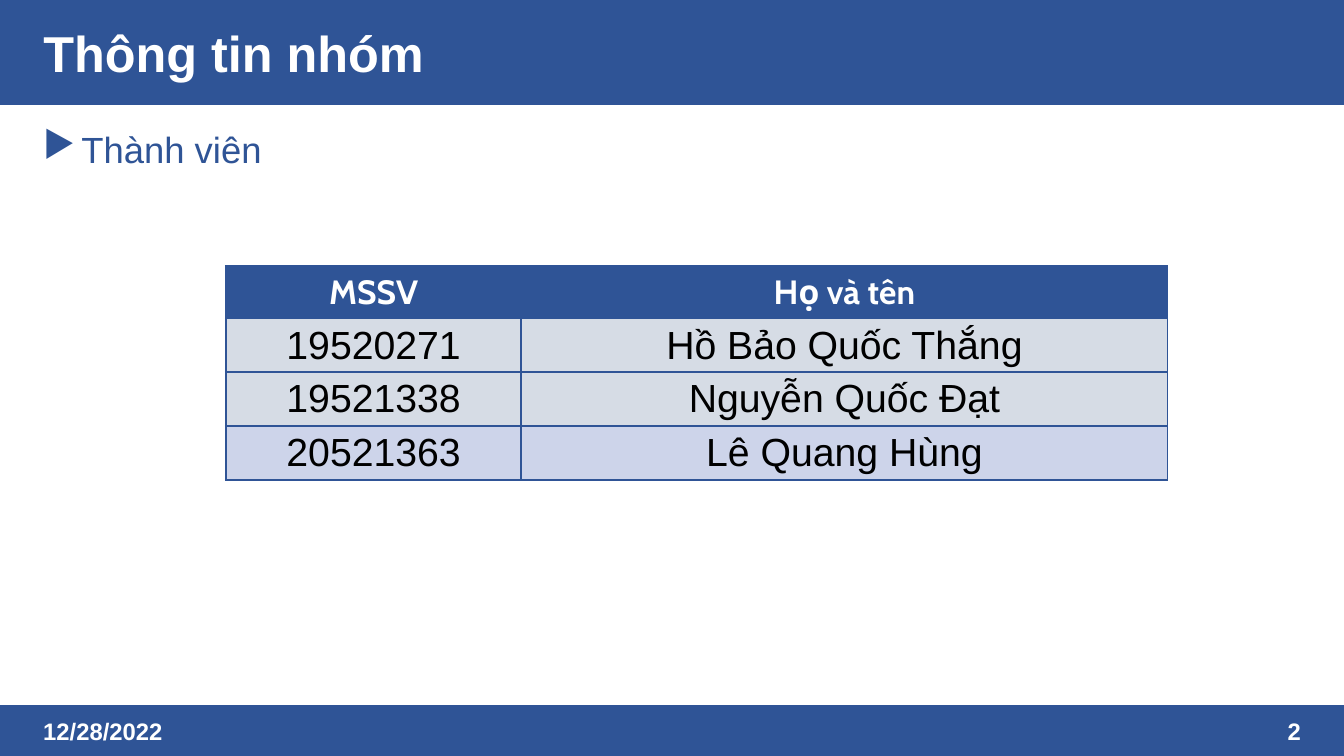
from dataclasses import dataclass
from typing import Any

from lxml import etree
from pptx import Presentation
from pptx.dml.color import RGBColor
from pptx.enum.shapes import MSO_SHAPE
from pptx.enum.text import MSO_ANCHOR, MSO_AUTO_SIZE, PP_ALIGN
from pptx.oxml.ns import qn
from pptx.util import Inches, Pt

RECTANGLE = MSO_SHAPE.RECTANGLE
TOP, MIDDLE = MSO_ANCHOR.TOP, MSO_ANCHOR.MIDDLE
LEFT, CENTER, RIGHT = PP_ALIGN.LEFT, PP_ALIGN.CENTER, PP_ALIGN.RIGHT
NO_AUTOFIT = MSO_AUTO_SIZE.NONE
TITLE_ONLY = 5


@dataclass(frozen=True)
class Theme:
    navy: str = "2F5496"
    white: str = "FFFFFF"
    black: str = "000000"
    grey: str = "D6DCE5"
    lavender: str = "CDD4EA"
    body_font: str = "Arial"
    header_font: str = "Cabin"
    title_size: int = 36
    topic_size: int = 26
    footer_size: int = 17
    header_size: int = 24
    member_size: int = 28


THEME = Theme()


@dataclass(frozen=True)
class Box:
    left: float
    top: float
    width: float
    height: float

    def lengths(self) -> tuple:
        return tuple(Inches(v) for v in (self.left, self.top, self.width, self.height))


@dataclass(frozen=True)
class TextStyle:
    size: int
    color: str
    bold: bool = False
    font: str = THEME.body_font
    align: Any = LEFT
    anchor: Any = MIDDLE


@dataclass(frozen=True)
class Label:
    text: str
    box: Box
    style: TextStyle
    bullet: str = ""


@dataclass(frozen=True)
class MemberRow:
    cells: tuple[str, str]
    height: float
    fill: str
    style: TextStyle


SLIDE = Box(0, 0, 13.33, 7.5)
BANDS = (Box(0, 0, 13.33, 1.04), Box(0, 7, 13.33, 0.5))
FOOTER = TextStyle(THEME.footer_size, THEME.white, True)
FOOTER_RIGHT = TextStyle(THEME.footer_size, THEME.white, True, align=RIGHT)
HEADER = TextStyle(THEME.header_size, THEME.white, True, THEME.header_font, CENTER)
MEMBER = TextStyle(THEME.member_size, THEME.black, align=CENTER)

TITLE = Label("Thông tin nhóm", Box(0.33, 0, 12.67, 1.03),
              TextStyle(THEME.title_size, THEME.white, True))
LABELS = (
    Label("Thành viên", Box(0.33, 1.21, 12.67, 5.65),
          TextStyle(THEME.topic_size, THEME.navy, anchor=TOP), "▶"),
    Label("12/28/2022", Box(0.33, 7.05, 2.22, 0.4), FOOTER),
    Label("2", Box(10.76, 7.05, 2.24, 0.4), FOOTER_RIGHT),
)
TABLE_BOX = Box(2.24, 2.64, 9.34, 2.12)
COLUMN_WIDTHS = (2.93, 6.41)
MEMBERS = (
    MemberRow(("MSSV", "Họ và tên"), 0.52, THEME.navy, HEADER),
    MemberRow(("19520271", "Hồ Bảo Quốc Thắng"), 0.53, THEME.grey, MEMBER),
    MemberRow(("19521338", "Nguyễn Quốc Đạt"), 0.53, THEME.grey, MEMBER),
    MemberRow(("20521363", "Lê Quang Hùng"), 0.53, THEME.lavender, MEMBER),
)


def rgb(color: str) -> RGBColor:
    return RGBColor.from_string(color)


def apply(target: Any, values: dict[str, Any]) -> None:
    for attribute, value in values.items():
        setattr(target, attribute, value)


def add_bullet(paragraph: Any, symbol: str, color: str) -> None:
    properties = paragraph._p.get_or_add_pPr()
    properties.set("marL", str(Inches(0.38)))
    properties.set("indent", str(Inches(-0.38)))
    bullet_color = etree.SubElement(properties, qn("a:buClr"))
    etree.SubElement(bullet_color, qn("a:srgbClr"), val=color)
    etree.SubElement(properties, qn("a:buChar"), char=symbol)


def write(frame: Any, text: str, style: TextStyle, bullet: str = "") -> None:
    paragraph = frame.paragraphs[0]
    paragraph.text = text
    paragraph.alignment = style.align
    if bullet:
        add_bullet(paragraph, bullet, style.color)
    font = paragraph.runs[0].font
    apply(font, {"name": style.font, "size": Pt(style.size), "bold": style.bold})
    font.color.rgb = rgb(style.color)


def fill_label(shape: Any, label: Label) -> None:
    left, top, width, height = label.box.lengths()
    apply(shape, {"left": left, "top": top, "width": width, "height": height})
    frame = shape.text_frame
    apply(frame, {
        "word_wrap": True, "auto_size": NO_AUTOFIT,
        "vertical_anchor": label.style.anchor,
        "margin_left": Inches(0.1), "margin_right": Inches(0.1),
        "margin_top": Inches(0.05), "margin_bottom": Inches(0.05),
    })
    write(frame, label.text, label.style, label.bullet)


def add_band(slide: Any, box: Box) -> None:
    band = slide.shapes.add_shape(RECTANGLE, *box.lengths())
    band.shadow.inherit = False
    band.fill.solid()
    band.fill.fore_color.rgb = rgb(THEME.navy)
    band.line.color.rgb = rgb(THEME.navy)
    band.line.width = Pt(1)
    slide.shapes.title.element.addprevious(band.element)


def add_borders(cell: Any) -> None:
    properties = cell._tc.get_or_add_tcPr()
    for side in ("lnL", "lnR", "lnT", "lnB"):
        border = etree.SubElement(properties, qn(f"a:{side}"), w=str(Pt(1.5)))
        fill = etree.SubElement(border, qn("a:solidFill"))
        etree.SubElement(fill, qn("a:srgbClr"), val=THEME.navy)


def add_member_table(slide: Any) -> None:
    table = slide.shapes.add_table(
        len(MEMBERS), len(COLUMN_WIDTHS), *TABLE_BOX.lengths()).table
    for column, width in zip(table.columns, COLUMN_WIDTHS):
        column.width = Inches(width)
    for row, member in zip(table.rows, MEMBERS):
        row.height = Inches(member.height)
        for cell, text in zip(row.cells, member.cells):
            add_borders(cell)
            cell.fill.solid()
            cell.fill.fore_color.rgb = rgb(member.fill)
            cell.vertical_anchor = member.style.anchor
            write(cell.text_frame, text, member.style)


def main() -> None:
    deck = Presentation()
    apply(deck, {"slide_width": Inches(SLIDE.width), "slide_height": Inches(SLIDE.height)})
    slide = deck.slides.add_slide(deck.slide_layouts[TITLE_ONLY])
    for band in BANDS:
        add_band(slide, band)
    fill_label(slide.shapes.title, TITLE)
    for label in LABELS:
        fill_label(slide.shapes.add_textbox(*label.box.lengths()), label)
    add_member_table(slide)
    deck.save("out.pptx")


if __name__ == "__main__":
    main()
